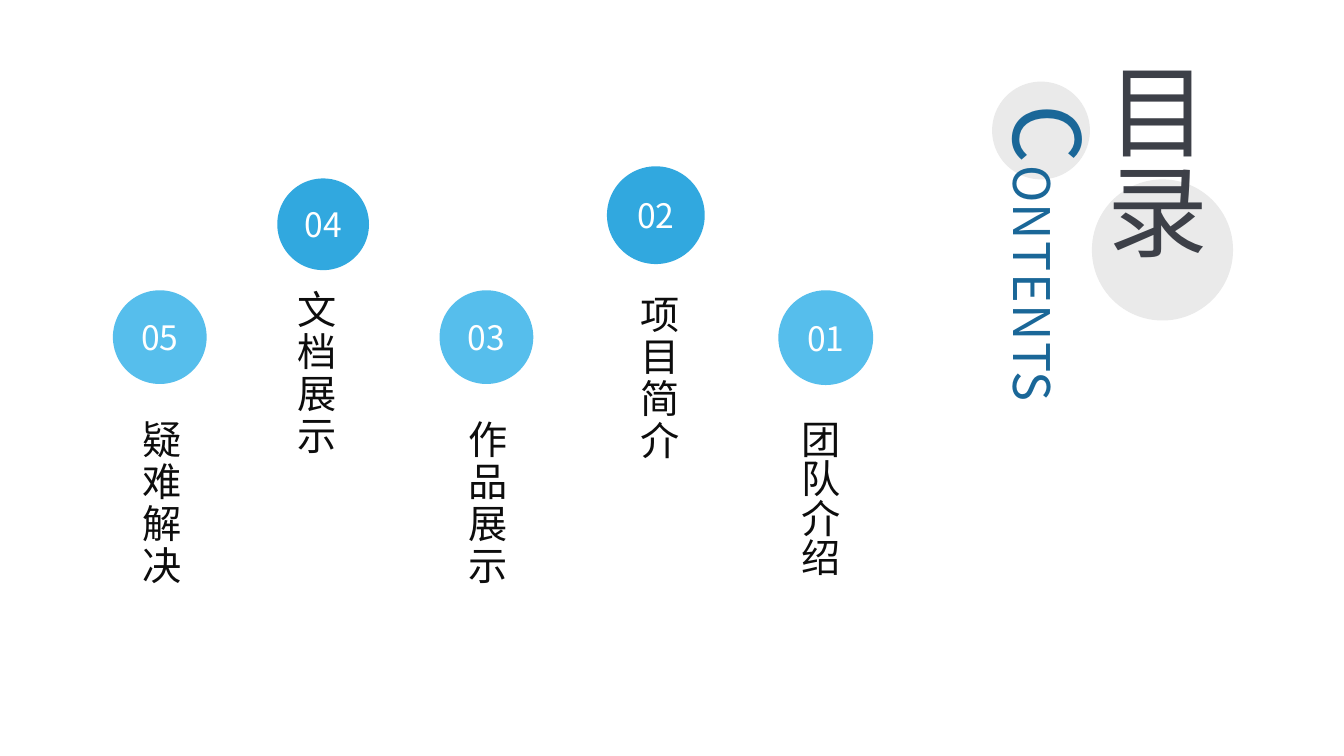
from pptx import Presentation
from pptx.dml.color import RGBColor
from pptx.enum.shapes import MSO_SHAPE as Shape
from pptx.enum.text import MSO_ANCHOR as Anchor, PP_ALIGN as Align
from pptx.oxml.ns import qn
from pptx.util import Inches, Pt
from lxml.etree import SubElement

FONT = "Noto Sans CJK SC"
GREY = RGBColor(0xEA, 0xEA, 0xEA)
NAVY = RGBColor(0x1A, 0x67, 0x98)
SLATE = RGBColor(0x3D, 0x40, 0x48)
LIGHT_BLUE = RGBColor(0x56, 0xBE, 0xEC)
BLUE = RGBColor(0x31, 0xA8, 0xDF)
INK = RGBColor(0x0D, 0x0D, 0x0D)
WHITE = RGBColor(0xFF, 0xFF, 0xFF)

# Content: (left, top, diameter) of the circles behind the heading
backdrops = [(10.83, 1.78, 1.4), (9.84, 0.81, 0.97)]

# Heading runs: (text, size, letter spacing in points)
contents_runs = [("C", 66, 1), ("ONTENTS", 36, 1)]
title_runs = [("目录", 72, 0)]

# Chapters: name, circle (left, top, diameter),
# label (left, top, height), letter spacing, line spacing
chapters = [
    ("团队介绍", (7.72, 2.88, 0.94), (7.74, 4.17, 2.99), 0, 1.3),
    ("项目简介", (6.02, 1.65, 0.97), (6.07, 2.93, 3.07), 2, None),
    ("作品展示", (4.36, 2.88, 0.93), (4.37, 4.17, 2.74), 2, None),
    ("文档展示", (2.75, 1.77, 0.91), (2.74, 2.88, 4.2), 2, 1.3),
    ("疑难解决", (1.12, 2.88, 0.93), (1.13, 4.17, 2.74), 2, None),
]
LABEL_WIDTH = 0.92

deck = Presentation()
deck.slide_width, deck.slide_height = Inches(13.33), Inches(7.5)
slide = deck.slides.add_slide(deck.slide_layouts[6])


def add_run(paragraph, text, size, color, spacing=0):
    run = paragraph.add_run()
    run.text = text
    run.font.size = Pt(size)
    run.font.color.rgb = color
    run.font.name = FONT
    props = run._r.get_or_add_rPr()
    SubElement(props, qn("a:ea")).set("typeface", FONT)
    if spacing:
        props.set("spc", str(spacing * 100))


def set_frame(frame, margins=True):
    frame.word_wrap = True
    frame.vertical_anchor = Anchor.MIDDLE
    if not margins:
        frame.margin_left = frame.margin_right = 0
        frame.margin_top = frame.margin_bottom = 0


def add_circle(left, top, diameter, color):
    circle = slide.shapes.add_shape(
        Shape.OVAL, Inches(left), Inches(top), Inches(diameter), Inches(diameter))
    circle.shadow.inherit = False
    circle.fill.solid()
    circle.fill.fore_color.rgb = color
    circle.line.fill.background()
    return circle


def add_vertical_text(left, top, width, height, runs, color,
                      margins=False, line_spacing=None):
    frame = slide.shapes.add_textbox(
        Inches(left), Inches(top), Inches(width), Inches(height)).text_frame
    set_frame(frame, margins)
    frame._txBody.bodyPr.set("vert", "eaVert")
    paragraph = frame.paragraphs[0]
    if line_spacing:
        paragraph.line_spacing = line_spacing
    for text, size, spacing in runs:
        add_run(paragraph, text, size, color, spacing)


# Heading
for left, top, diameter in backdrops:
    add_circle(left, top, diameter, GREY)
add_vertical_text(9.84, 1.04, 1.15, 5.42, contents_runs, NAVY)
add_vertical_text(10.66, 0.5, 1.57, 2.55, title_runs, SLATE, margins=True)

# Chapters, numbered from the right, in alternating blues
for number, (name, circle_at, label_at, spacing, leading) in enumerate(chapters, 1):
    badge = add_circle(*circle_at, LIGHT_BLUE if number % 2 else BLUE)
    set_frame(badge.text_frame, margins=False)
    numeral = badge.text_frame.paragraphs[0]
    numeral.alignment = Align.CENTER
    add_run(numeral, f"{number:02}", 24, WHITE)

    left, top, height = label_at
    add_vertical_text(left, top, LABEL_WIDTH, height, [(name, 28, spacing)], INK,
                      line_spacing=leading)

deck.save("out.pptx")
